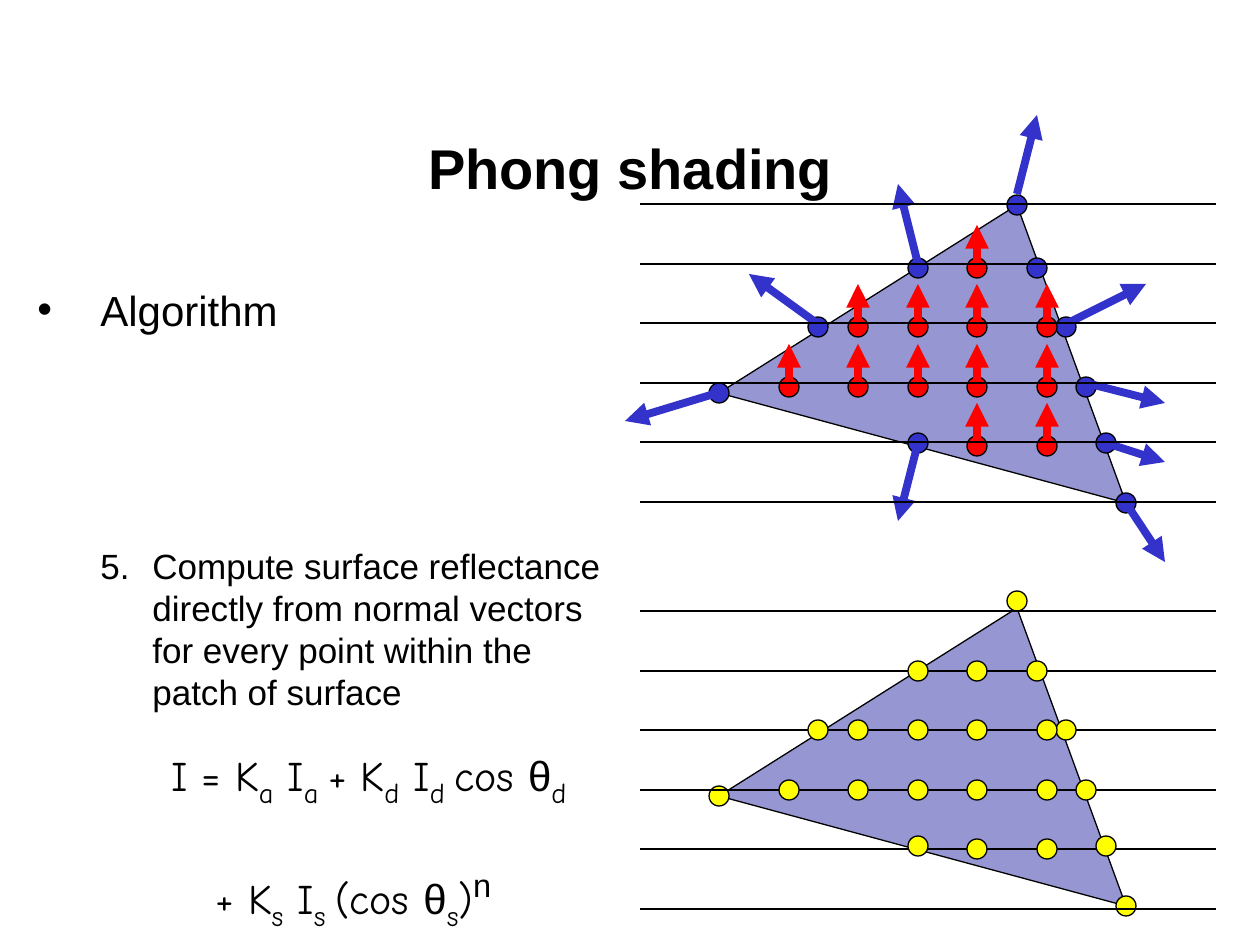
import pptx
import pptx.util
import pptx.dml.color
import pptx.enum.shapes
import pptx.enum.text
import pptx.oxml.ns
import lxml.etree

SCALE = 914400 / 126
COLORS = {"black": "000000", "blue": "3333CC", "red": "FF0000",
          "yellow": "FFFF00", "surface": "9696D2"}
RGB = {k: pptx.dml.color.RGBColor.from_string(v) for k, v in COLORS.items()}
Pt = pptx.util.Pt
qn = pptx.oxml.ns.qn
MSO = pptx.enum.shapes


def px(*values):
    return [pptx.util.Emu(round(v * SCALE)) for v in values]


def add_line(start, end, color="black", width=0.75, arrow=False):
    c = s.shapes.add_connector(MSO.MSO_CONNECTOR.STRAIGHT, *px(*start, *end))
    c.line.color.rgb = RGB[color]
    c.line.width = Pt(width)
    if arrow:
        lxml.etree.SubElement(c.line._get_or_add_ln(), qn("a:tailEnd"), type="triangle")
    lxml.etree.SubElement(c._element.spPr, qn("a:effectLst"))


prs = pptx.Presentation()
prs.slide_width, prs.slide_height = px(1260, 945)
s = prs.slides.add_slide(prs.slide_layouts[6])

PP = pptx.enum.text.PP_ALIGN
ANCHOR = pptx.enum.text.MSO_ANCHOR
ARIAL = {"name": "Arial"}
COMIC = {"name": "Comic Neue", "size": Pt(24)}
SUB = {"name": "Comic Neue", "size": Pt(28), "baseline": "-25000"}
THETA = {"name": "Arial", "size": Pt(24)}
SUPER = {"name": "Arial", "size": Pt(32), "baseline": "30000"}

boxes = [
    ((95, 88, 1071, 158), ANCHOR.MIDDLE, [
        ({"alignment": PP.CENTER}, 0, 0, None,
         [("Phong shading", {**ARIAL, "size": Pt(32), "bold": True})]),
    ]),
    ((25, 278, 605, 467), ANCHOR.TOP, [
        ({}, 63, -63, ("a:buChar", {"char": "•"}),
         [("Algorithm", {**ARIAL, "size": Pt(24)})]),
        ({"space_before": Pt(120), "line_spacing": Pt(24)}, 115, -52,
         ("a:buAutoNum", {"type": "arabicPeriod", "startAt": "5"}),
         [("Compute surface reflectance directly from normal vectors "
           "for every point within the patch of surface", {**ARIAL, "size": Pt(20)})]),
    ]),
    ((159, 736, 450, 204), ANCHOR.TOP, [
        ({}, 0, 0, None,
         [("I = K", COMIC), ("a", SUB), (" I", COMIC), ("a ", SUB), ("+ K", COMIC),
          ("d", SUB), (" I", COMIC), ("d ", SUB), ("cos ", COMIC), ("θ", THETA),
          ("d", SUB)]),
        ({"space_before": Pt(28)}, 44, 0, None,
         [("+ K", COMIC), ("s", SUB), (" I", COMIC), ("s ", SUB), ("(cos ", COMIC),
          ("θ", THETA), ("s", SUB), (")", COMIC), ("n", SUPER)]),
    ]),
]

for bounds, anchor, paragraphs in boxes:
    tf = s.shapes.add_textbox(*px(*bounds)).text_frame
    tf.word_wrap = True
    tf.vertical_anchor = anchor
    for i, (formats, margin, indent, bullet, runs) in enumerate(paragraphs):
        p = tf.add_paragraph() if i else tf.paragraphs[0]
        pPr = p._p.get_or_add_pPr()
        for key, value in zip(("marL", "indent"), px(margin, indent)):
            pPr.set(key, str(int(value)))
        if bullet:
            lxml.etree.SubElement(pPr, qn("a:buFont"), typeface="Arial")
            lxml.etree.SubElement(pPr, qn(bullet[0]), bullet[1])
        for key, value in formats.items():
            setattr(p, key, value)
        for text, font in runs:
            r = p.add_run()
            r.text = text
            r.font.color.rgb = RGB["black"]
            for key, value in font.items():
                if key == "baseline":
                    r._r.get_or_add_rPr().set(key, value)
                else:
                    setattr(r.font, key, value)

corners = [(1017, 205), (1126, 503), (719, 393)]
edges = [(1037, 268), (1066, 327), (1086, 387), (1106, 443),
         (918, 268), (818, 327), (918, 443)]
columns = {977: (268, 327, 387, 446), 1047: (327, 387, 446),
           918: (327, 387), 858: (327, 387), 789: (387,)}
interior = [(x, y) for x, ys in columns.items() for y in ys]
normals = [((1017, 194), (1037, 115)), ((1126, 503), (1165, 562)),
           ((1066, 324), (1146, 284)), ((1086, 383), (1165, 403)),
           ((1106, 443), (1165, 462)), ((918, 264), (898, 184)),
           ((818, 324), (749, 274)), ((918, 443), (898, 521)),
           ((714, 394), (625, 421))]
lower_corners = [(1017, 198)] + corners[1:]
diagrams = [
    (0, [("dots", corners + edges, "blue"), ("dots", interior, "red"),
         ("normals", None, None), ("scanlines", 204, None)]),
    (403, [("dots", lower_corners, "yellow"), ("scanlines", 611, None),
           ("dots", edges + interior, "yellow")]),
]

for dy, layers in diagrams:
    points = [(x, y + dy) for x, y in corners]
    builder = s.shapes.build_freeform(*points[0], scale=SCALE)
    builder.add_line_segments(points[1:], close=True)
    filled = [(builder.convert_to_shape(), "surface")]
    for layer, data, color in layers:
        if layer == "dots":
            for x, y in data:
                dot = s.shapes.add_shape(MSO.MSO_SHAPE.OVAL, *px(x - 10, y + dy - 10, 20, 20))
                filled.append((dot, color))
        elif layer == "normals":
            for x, y in interior:
                add_line((x, y - 3), (x, y - 43), "red", 4.5, True)
            for start, end in normals:
                add_line(start, end, "blue", 4.5, True)
        else:
            for i in range(6):
                y = data + round(59.6 * i)
                add_line((640, y), (1216, y))
    for sp, color in filled:
        sp.shadow.inherit = False
        sp.fill.solid()
        sp.fill.fore_color.rgb = RGB[color]
        sp.line.color.rgb = RGB["black"]
        sp.line.width = Pt(0.75)

prs.save("out.pptx")
